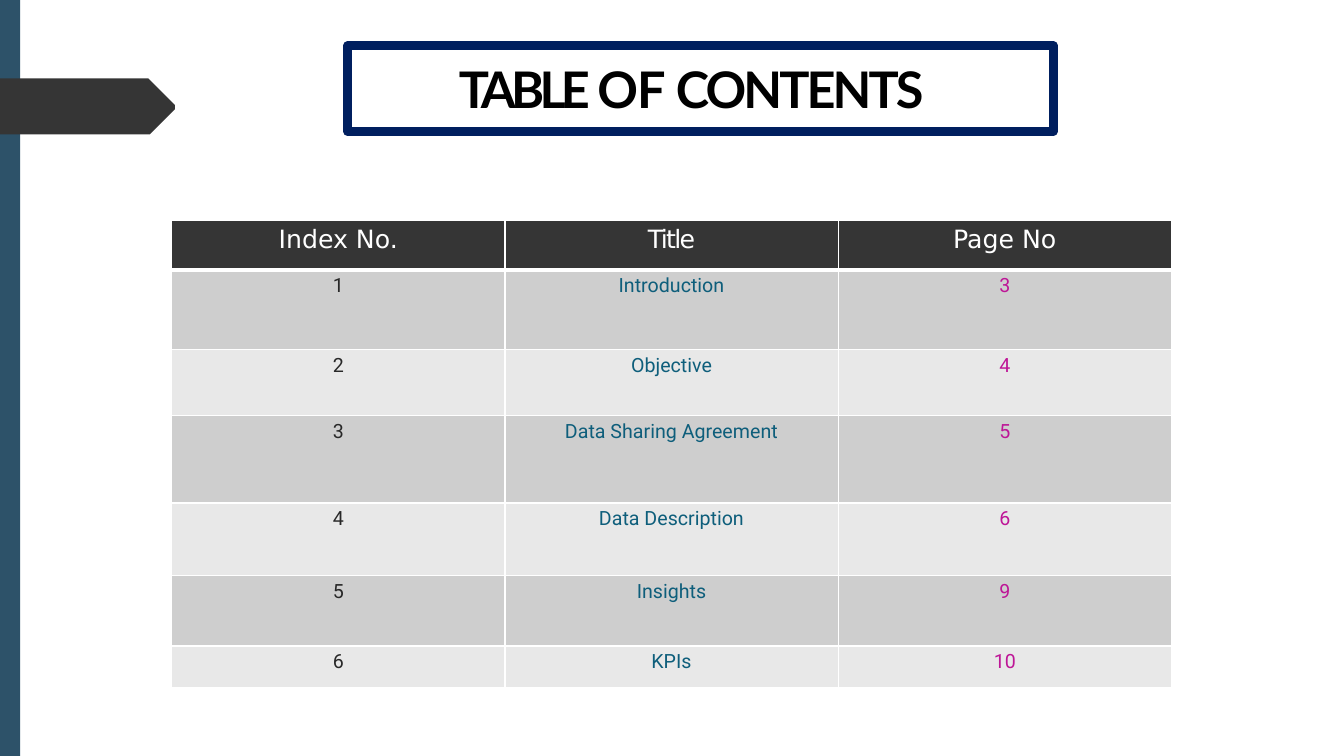
from pptx import Presentation, util as u
from pptx.dml.color import RGBColor
from pptx.enum import shapes, text
from pptx.oxml import parse_xml
from pptx.oxml.ns import nsdecls

Pt = u.Pt
MID = text.PP_ALIGN.CENTER
DARK, NAVY, WHITE = "353535", "001F5F", "FFFFFF"
COLS = ["282828", "0E5E7B", "BE1697"]
HEAD = ["Index No.", "Title", "Page No"]
ROWS = [
    ["1", "Introduction", "3"],
    ["2", "Objective", "4"],
    ["3", "Data Sharing Agreement", "5"],
    ["4", "Data Description", "6"],
    ["5", "Insights", "9"],
    ["6", "KPIs", "10"],
]
HIGHS = [35.3, 56.9, 46.8, 62.6, 51.8, 50.4, 29.5]


def color(code):
    return RGBColor.from_string(code)


def write(frame, runs, font, size, ink, bold=False, align=None, before=0, top=0):
    """Fill a text frame with runs of (words, letter spacing in points)."""
    frame.word_wrap = True
    frame.margin_left = frame.margin_right = frame.margin_bottom = 0
    frame.margin_top = Pt(top)
    para = frame.paragraphs[0]
    para.alignment = align
    para.space_before = Pt(before)
    for words, gap in runs:
        run = para.add_run()
        run.text = words
        face = run.font
        face.name, face.size, face.bold = font, Pt(size), bold
        face.color.rgb = color(ink)
        run._r.get_or_add_rPr().set("spc", str(round(gap * 100)))


def edge(cell, row):
    """Draw white borders, thick between the header and the body."""
    wide = {"L": 1, "R": 1, "T": 3 if row == 1 else 1, "B": 3 if row == 0 else 1}
    props = cell._tc.get_or_add_tcPr()
    for spot, (side, width) in enumerate(wide.items()):
        props.insert(spot, parse_xml(
            f'<a:ln{side} {nsdecls("a")} w="{Pt(width)}"><a:solidFill>'
            f'<a:srgbClr val="{WHITE}"/></a:solidFill></a:ln{side}>'))


class Deck:
    def __init__(self):
        self.show = Presentation()
        self.show.slide_width, self.show.slide_height = Pt(960), Pt(540)
        self.slide = self.show.slides.add_slide(self.show.slide_layouts[6])
        self.body, self.size = "Roboto", 14

    def paint(self, shape, fill=None, line=None, width=1):
        shape.shadow.inherit = False
        if fill:
            shape.fill.solid()
            shape.fill.fore_color.rgb = color(fill)
        else:
            shape.fill.background()
        if line:
            shape.line.color.rgb = color(line)
            shape.line.width = Pt(width)
            shape.line._get_or_add_ln().append(
                parse_xml(f'<a:round {nsdecls("a")}/>'))
        else:
            shape.line.fill.background()

    def rect(self, x, y, w, h, **look):
        box = self.slide.shapes.add_shape(
            shapes.MSO_SHAPE.RECTANGLE, Pt(x), Pt(y), Pt(w), Pt(h))
        self.paint(box, **look)

    def form(self, points, **look):
        pen = self.slide.shapes.build_freeform(*points[0], scale=Pt(1))
        pen.add_line_segments(points[1:], close=True)
        self.paint(pen.convert_to_shape(), **look)

    def label(self, x, y, w, h, runs, **style):
        box = self.slide.shapes.add_textbox(Pt(x), Pt(y), Pt(w), Pt(h))
        write(box.text_frame, runs, **style)

    def table(self, x, y, w, highs, head, rows):
        grid = self.slide.shapes.add_table(
            len(highs), len(head), Pt(x), Pt(y), Pt(w), Pt(sum(highs))).table
        for col in grid.columns:
            col.width = Pt(w / len(head))
        for r, (high, line) in enumerate(zip(highs, [head] + rows)):
            grid.rows[r].height = Pt(high)
            for c, words in enumerate(line):
                cell = grid.cell(r, c)
                cell.fill.solid()
                shade = ["E8E8E8", "CECECE"][r % 2] if r else DARK
                cell.fill.fore_color.rgb = color(shade)
                gap = -1.2 if words == "Title" else 0
                look = ((self.body, self.size, COLS[c]) if r
                        else ("DejaVu Sans", 18, WHITE))
                write(cell.text_frame, [(words, gap)], *look,
                      align=MID, before=3.2)
                cell.margin_left = cell.margin_right = cell.margin_bottom = 0
                cell.margin_top = Pt(3.2)
                edge(cell, r)


def main():
    deck = Deck()
    deck.rect(0, 0, 14.4, 540, fill="2D5269")
    deck.form([(0, 56.2), (0, 95.8), (98, 96.4), (105.8, 96.4), (106.6, 95.8),
               (124.6, 77.8), (125.3, 76.3), (124.6, 74.9), (106.6, 56.9),
               (105.8, 56.2)], fill=DARK)
    deck.table(122.6, 157.7, 714.2, HIGHS, HEAD, ROWS)
    deck.rect(248.4, 32.6, 504, 61.4, line=NAVY, width=6.25)
    deck.label(327.8, 40.3, 345.4, 45.4,
               [("TABLE ", -3.4), ("OF ", -0.6), ("CONTENTS", -2.1)],
               font="Lato", size=36, ink="000000", bold=True, before=1, top=0.9)
    deck.show.save("out.pptx")


if __name__ == "__main__":
    main()
